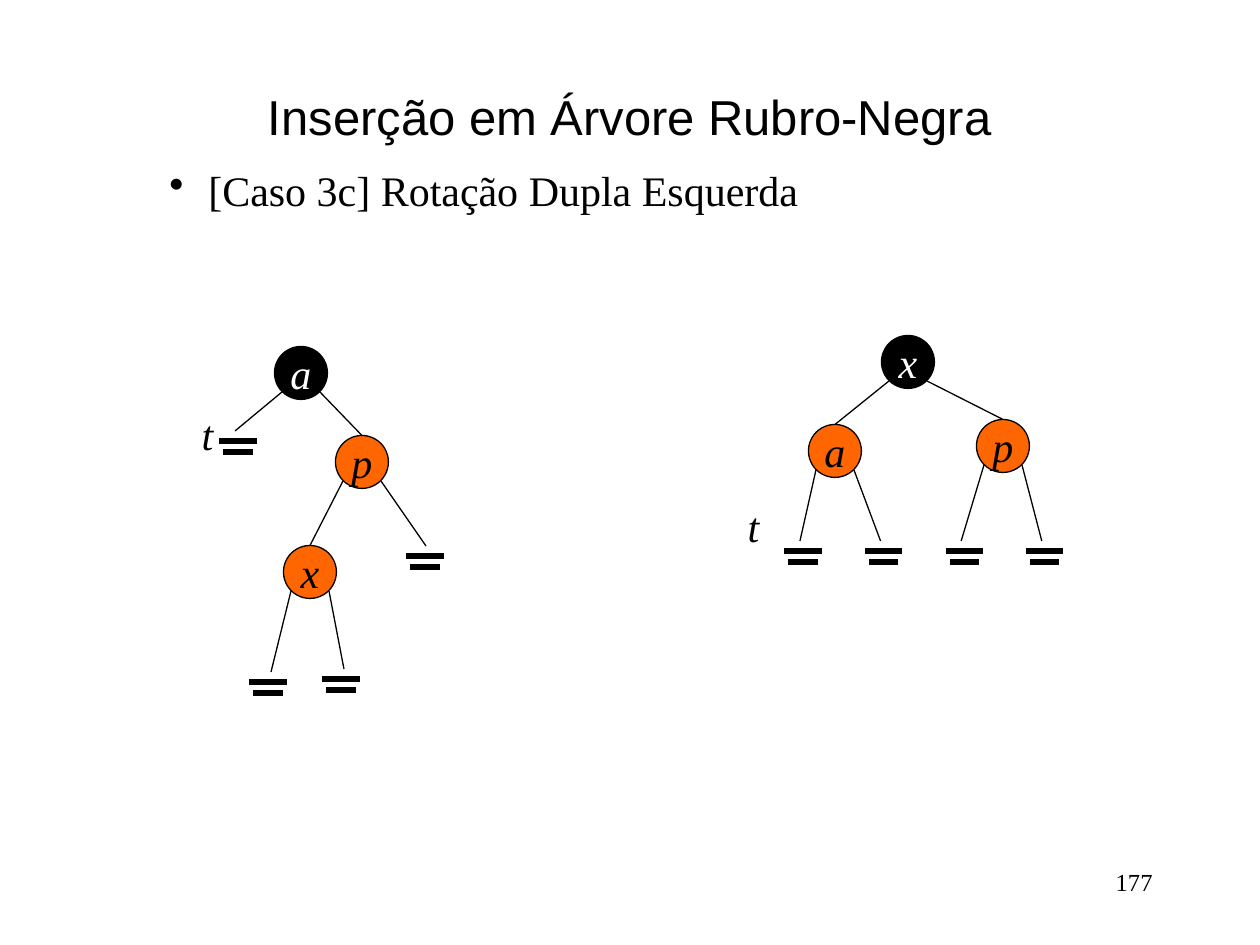
from lxml import etree
from pptx import Presentation, util as u
from pptx.dml.color import RGBColor
from pptx.enum import shapes, text
from pptx.oxml import ns

SCALE = 914400 / 126
BLACK, WHITE, RED = "000000", "FFFFFF", "FF6600"
SERIF = "Times New Roman"
SIZE = 53  # node diameter
FOOT = 19  # offset from a node's centre to where its edges start
LEFT, RIGHT = -1, 1


def px(n):
    return u.Emu(round(n * SCALE))


def rgb(code):
    return RGBColor.from_string(code)


def write(frame, words, size, color=BLACK, font=SERIF, italic=False,
          align=text.PP_ALIGN.CENTER, anchor=text.MSO_ANCHOR.TOP, wrap=True):
    frame.text = words
    frame.word_wrap = wrap
    frame.vertical_anchor = anchor
    para = frame.paragraphs[0]
    para.alignment = align
    style = para.runs[0].font
    style.size, style.name, style.italic = u.Pt(size), font, italic
    style.color.rgb = rgb(color)
    return para


def label(slide, box, words, size, **style):
    frame = slide.shapes.add_textbox(*map(px, box)).text_frame
    return write(frame, words, size, **style)


def bullet(para, margin, hang):
    props = para._p.get_or_add_pPr()
    props.set("marL", str(px(margin)))
    props.set("indent", str(-px(hang)))
    etree.SubElement(props, ns.qn("a:buChar")).set("char", "•")


def line(slide, start, end, width=0.75, cap="flat"):
    link = slide.shapes.add_connector(
        shapes.MSO_CONNECTOR.STRAIGHT, *map(px, (*start, *end)))
    link.line.color.rgb = rgb(BLACK)
    link.line.width = u.Pt(width)
    link.line._get_or_add_ln().set("cap", cap)
    etree.SubElement(link._element.spPr, ns.qn("a:effectLst"))


def node(slide, spot, name, fill=RED):
    x, y = spot
    ball = slide.shapes.add_shape(
        shapes.MSO_SHAPE.OVAL,
        *map(px, (x - SIZE / 2, y - SIZE / 2, SIZE, SIZE)))
    ball.shadow.inherit = False
    ball.fill.solid()
    ball.fill.fore_color.rgb = rgb(fill)
    ball.line.color.rgb = rgb(BLACK)
    ball.line.width = u.Pt(0.75)
    write(ball.text_frame, name, 24, WHITE if fill == BLACK else BLACK,
          italic=True, anchor=text.MSO_ANCHOR.MIDDLE, wrap=False)


def edge(slide, spot, side, end):
    x, y = spot
    line(slide, (x + side * FOOT, y + FOOT), end)


def join(slide, spot, side, child):
    """Link a node to the top of its child."""
    edge(slide, spot, side, (child[0], child[1] - SIZE / 2))


def nil(slide, spot, side, tip, shift):
    """Draw an edge to an empty leaf: two bars, shifted from the tip."""
    x, y = tip
    edge(slide, spot, side, tip)
    for half, drop in ((16, 10), (12, 21)):
        mid = x + shift
        line(slide, (mid - half, y + drop), (mid + half, y + drop), 3, "sq")


def tag(slide, x, y):
    label(slide, (x, y, 37, 63), "t", 24, italic=True, wrap=False)


def before(slide):
    a, p, x = (301, 373), (362, 462), (310, 572)
    join(slide, a, RIGHT, p)
    join(slide, p, LEFT, x)
    nil(slide, a, LEFT, (235, 431), 3)
    nil(slide, p, RIGHT, (426, 546), -1)
    nil(slide, x, LEFT, (271, 672), -3)
    nil(slide, x, RIGHT, (344, 669), -3)
    node(slide, a, "a", BLACK)
    node(slide, p, "p")
    node(slide, x, "x")
    tag(slide, 189, 402)


def after(slide):
    x, a, p = (908, 362), (835, 451), (1003, 446)
    join(slide, x, LEFT, a)
    join(slide, x, RIGHT, p)
    sides = ((a, LEFT), (a, RIGHT), (p, LEFT), (p, RIGHT))
    for i, (spot, side) in enumerate(sides):
        nil(slide, spot, side, (800 + 80.6 * i, 541), 3)
    node(slide, x, "x", BLACK)
    node(slide, a, "a")
    node(slide, p, "p")
    tag(slide, 735, 494)


def main():
    deck = Presentation()
    deck.slide_width, deck.slide_height = px(1260), px(945)
    slide = deck.slides.add_slide(deck.slide_layouts[6])
    label(slide, (94, 84, 1071, 63), "Inserção em Árvore Rubro-Negra", 28,
          font="Arial", anchor=text.MSO_ANCHOR.MIDDLE)
    case = label(slide, (94, 158, 1071, 683),
                 "[Caso 3c] Rotação Dupla Esquerda", 24,
                 align=text.PP_ALIGN.LEFT)
    case.space_before = u.Pt(6)
    bullet(case, 102, 39)
    before(slide)
    after(slide)
    label(slide, (903, 861, 262, 63), "177", 14, align=text.PP_ALIGN.RIGHT)
    deck.save("out.pptx")


if __name__ == "__main__":
    main()
